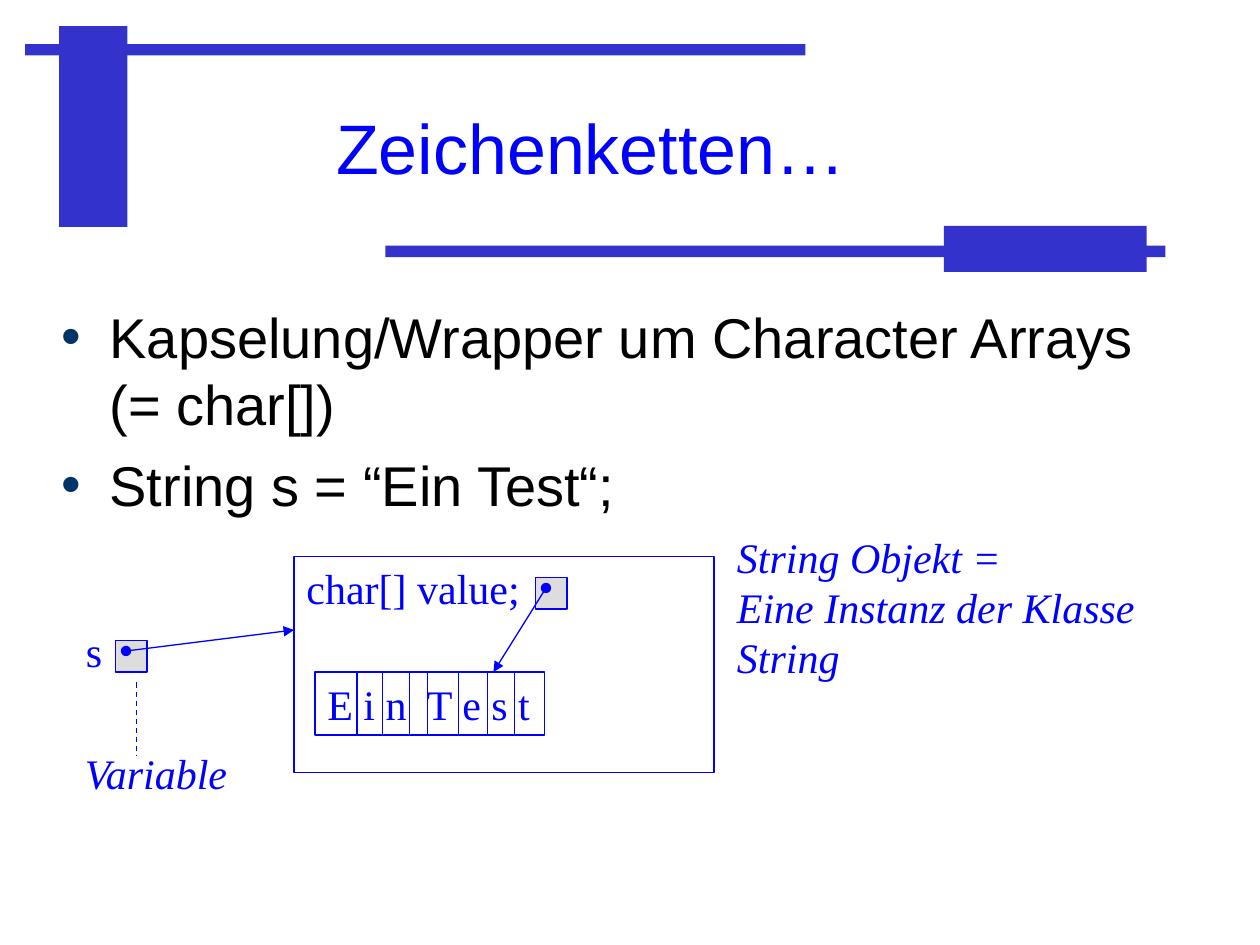
import pptx
import pptx.util
import pptx.dml.color
import pptx.enum.dml
import pptx.enum.shapes
import pptx.enum.text
import pptx.oxml.ns
import lxml.etree

BLUE = "0000FF"
BAR = "3333CC"
GREY = "DDDDDD"
SERIF = "Times New Roman"
SANS = "Arial"
CELLS_PER_INCH = 12


def grid(cells):
    return pptx.util.Inches(cells / CELLS_PER_INCH)


def colour(code):
    return pptx.dml.color.RGBColor.from_string(code)


def child(parent, tag, **attributes):
    return lxml.etree.SubElement(parent, pptx.oxml.ns.qn(tag), **attributes)


class Sketch:
    def __init__(self, page, ink, font, size, stroke):
        self.page = page
        self.ink = ink
        self.font = font
        self.size = size
        self.stroke = stroke

    def rect(self, left, top, width, height, fill=None, outlined=True):
        box = self.page.shapes.add_shape(
            pptx.enum.shapes.MSO_SHAPE.RECTANGLE,
            grid(left), grid(top), grid(width), grid(height))
        box.shadow.inherit = False
        if fill:
            box.fill.solid()
            box.fill.fore_color.rgb = colour(fill)
        else:
            box.fill.background()
        if outlined:
            box.line.color.rgb = colour(self.ink)
            box.line.width = pptx.util.Pt(self.stroke)
        else:
            box.line.fill.background()
        return box

    def text(self, left, top, width, height, lines, **style):
        box = self.page.shapes.add_textbox(grid(left), grid(top), grid(width), grid(height))
        self.label(box, lines, **style)

    def label(self, box, lines, wrap=False, middle=False, centred=False, italic=False,
              font=None, size=None, ink=None, before=0, spacing=None, bullet=None):
        frame = box.text_frame
        frame.word_wrap = wrap
        anchors = pptx.enum.text.MSO_ANCHOR
        frame.vertical_anchor = anchors.MIDDLE if middle else anchors.TOP
        for index, line in enumerate(lines):
            para = frame.paragraphs[0] if index == 0 else frame.add_paragraph()
            align = pptx.enum.text.PP_ALIGN
            para.alignment = align.CENTER if centred else align.LEFT
            para.space_before = pptx.util.Pt(before)
            if spacing:
                para.line_spacing = spacing
            if bullet:
                self.bullet(para, bullet)
            for number, part in enumerate(line.split("\n")):
                if number:
                    para.add_line_break()
                span = para.add_run()
                span.text = part
                span.font.name = font or self.font
                span.font.size = pptx.util.Pt(size or self.size)
                span.font.italic = italic
                span.font.color.rgb = colour(ink or self.ink)

    def bullet(self, para, code):
        settings = para._p.get_or_add_pPr()
        indent = pptx.util.Inches(0.38)
        settings.set("marL", str(indent))
        settings.set("indent", str(-indent))
        child(child(settings, "a:buClr"), "a:srgbClr", val=code)
        child(settings, "a:buFont", typeface=SANS)
        child(settings, "a:buChar", char="•")

    def line(self, start, end, dashed=False, arrow=False):
        link = self.page.shapes.add_connector(
            pptx.enum.shapes.MSO_CONNECTOR.STRAIGHT, *map(grid, start + end))
        link.line.color.rgb = colour(self.ink)
        link.line.width = pptx.util.Pt(self.stroke)
        if dashed:
            link.line.dash_style = pptx.enum.dml.MSO_LINE.DASH
        if arrow:
            stroke = link._element.spPr.get_or_add_ln()
            child(stroke, "a:headEnd", type="oval")
            child(stroke, "a:tailEnd", type="triangle")
        child(link._element.spPr, "a:effectLst")


def main():
    deck = pptx.Presentation()
    deck.slide_width = pptx.util.Inches(10)
    deck.slide_height = pptx.util.Inches(7.5)
    page = deck.slides.add_slide(deck.slide_layouts[6])
    sketch = Sketch(page, BLUE, SERIF, 24, 0.75)

    for place in [(5.64, 2.5, 6.5, 19.1), (2.4, 4.2, 74.3, 1.08),
                  (89.9, 21.5, 19.3, 4.4), (36.7, 23.4, 74.3, 1.08)]:
        sketch.rect(*place, fill=BAR, outlined=False)

    sketch.text(12, 7.1, 88.5, 15, ["Zeichenketten…"], wrap=True, middle=True,
                centred=True, font=SANS, size=40, spacing=0.85)
    sketch.text(4.7, 28.2, 112, 50.9,
                ["Kapselung/Wrapper um Character Arrays\n(= char[])",
                 "String s = “Ein Test“;"],
                wrap=True, font=SANS, size=32, ink="000000", before=8, bullet="003366")

    sketch.rect(11, 61, 3, 3, fill=GREY)
    sketch.text(7, 59, 4, 6, ["s"])
    string_object = sketch.rect(28, 53, 40, 20.6)
    sketch.label(string_object, ["char[] value;"], wrap=True, before=15)
    sketch.line((12, 62), (28, 60), arrow=True)
    sketch.line((13, 65), (13, 72), dashed=True)
    sketch.text(6.9, 70.6, 16.3, 6, ["Variable"], italic=True)
    sketch.text(69, 50, 51, 10.8,
                ["String Objekt =", "Eine Instanz der Klasse String"], italic=True)

    sketch.rect(51, 55, 3, 3, fill=GREY)
    sketch.line((52, 56), (47, 64), arrow=True)
    characters = sketch.rect(30, 64, 21.84, 6)
    sketch.label(characters, ["E i n  T e s t"])
    for column in [34, 36.4, 39, 40.7, 43.7, 46.4, 49]:
        sketch.line((column, 64), (column, 70))

    deck.save("out.pptx")


if __name__ == "__main__":
    main()
